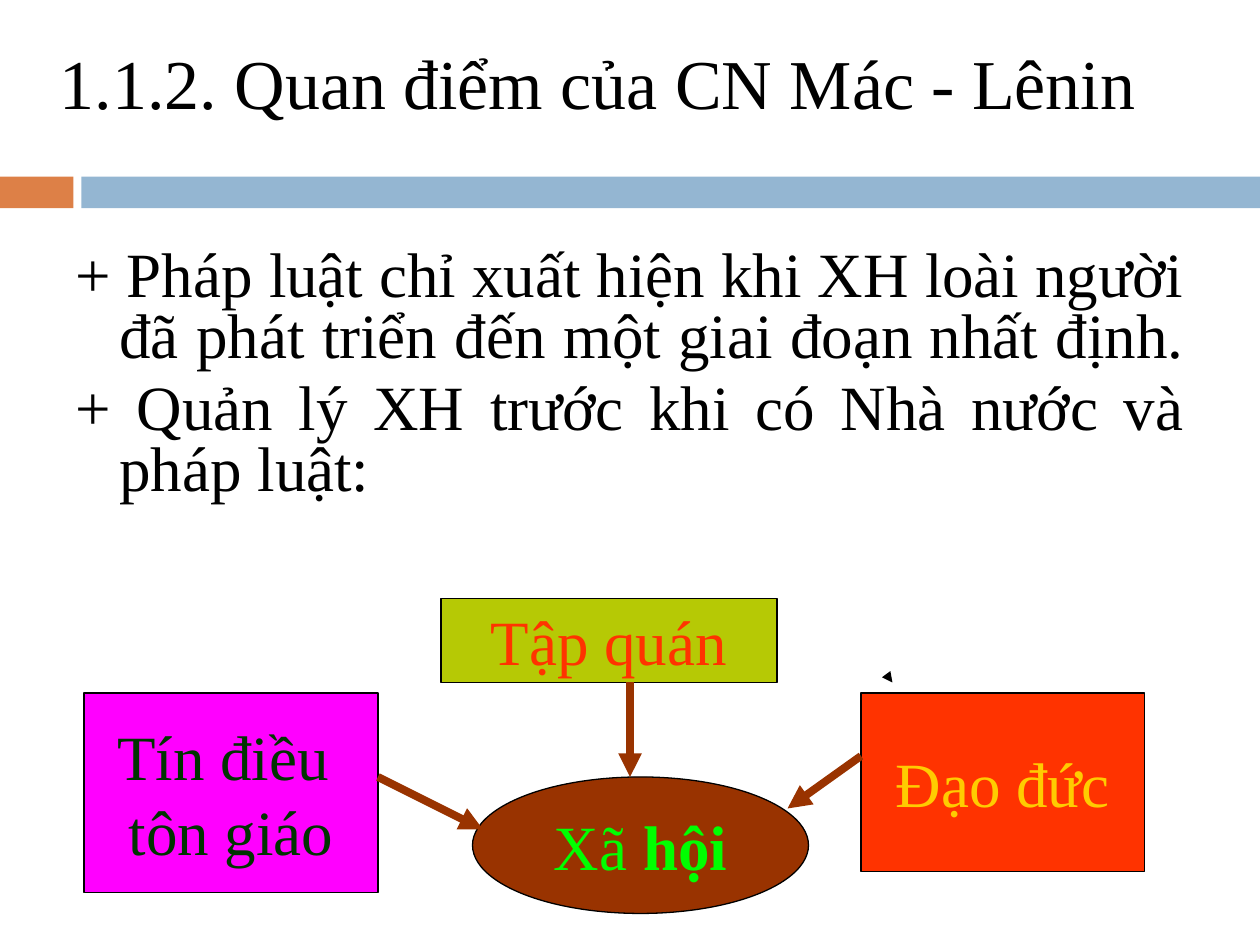
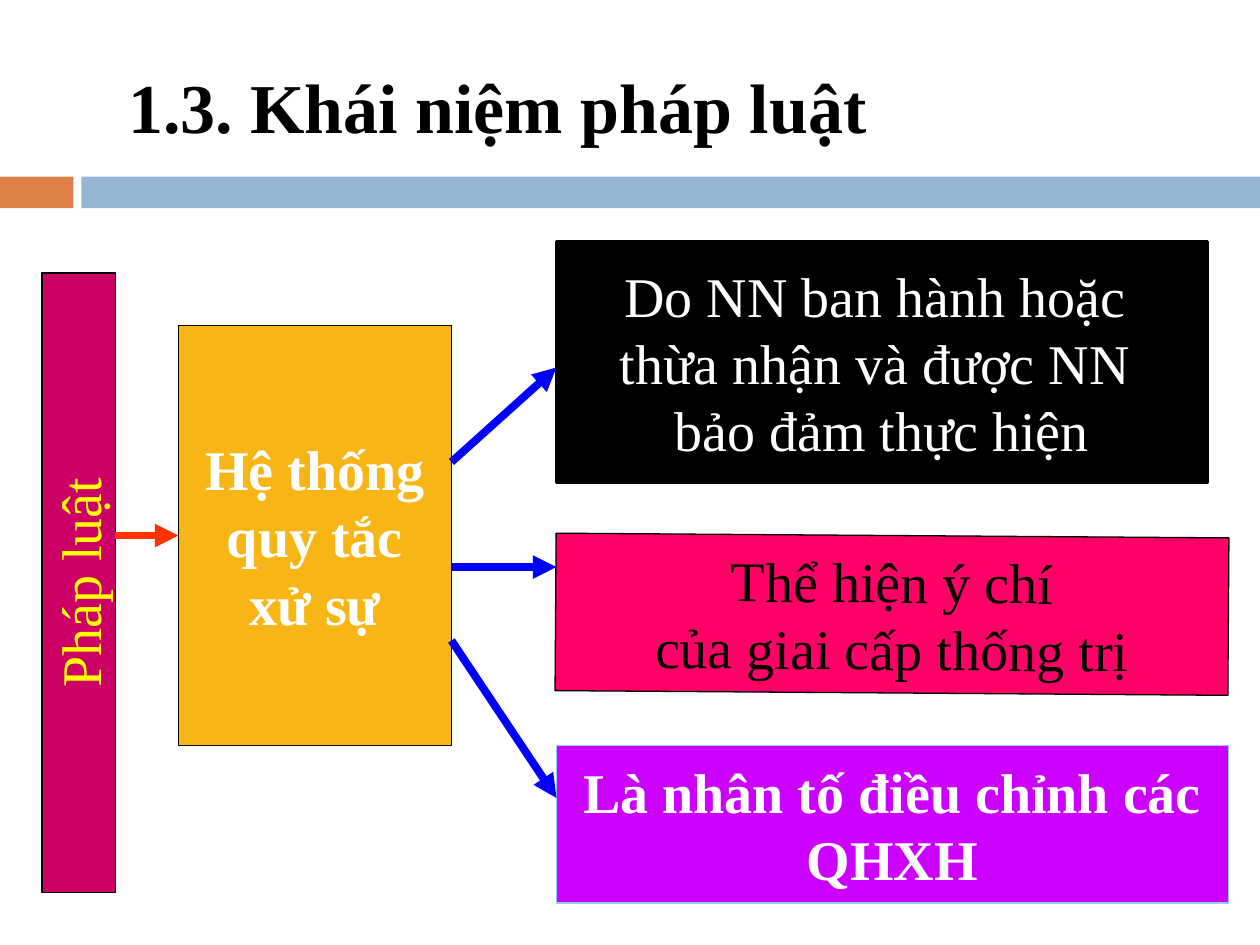
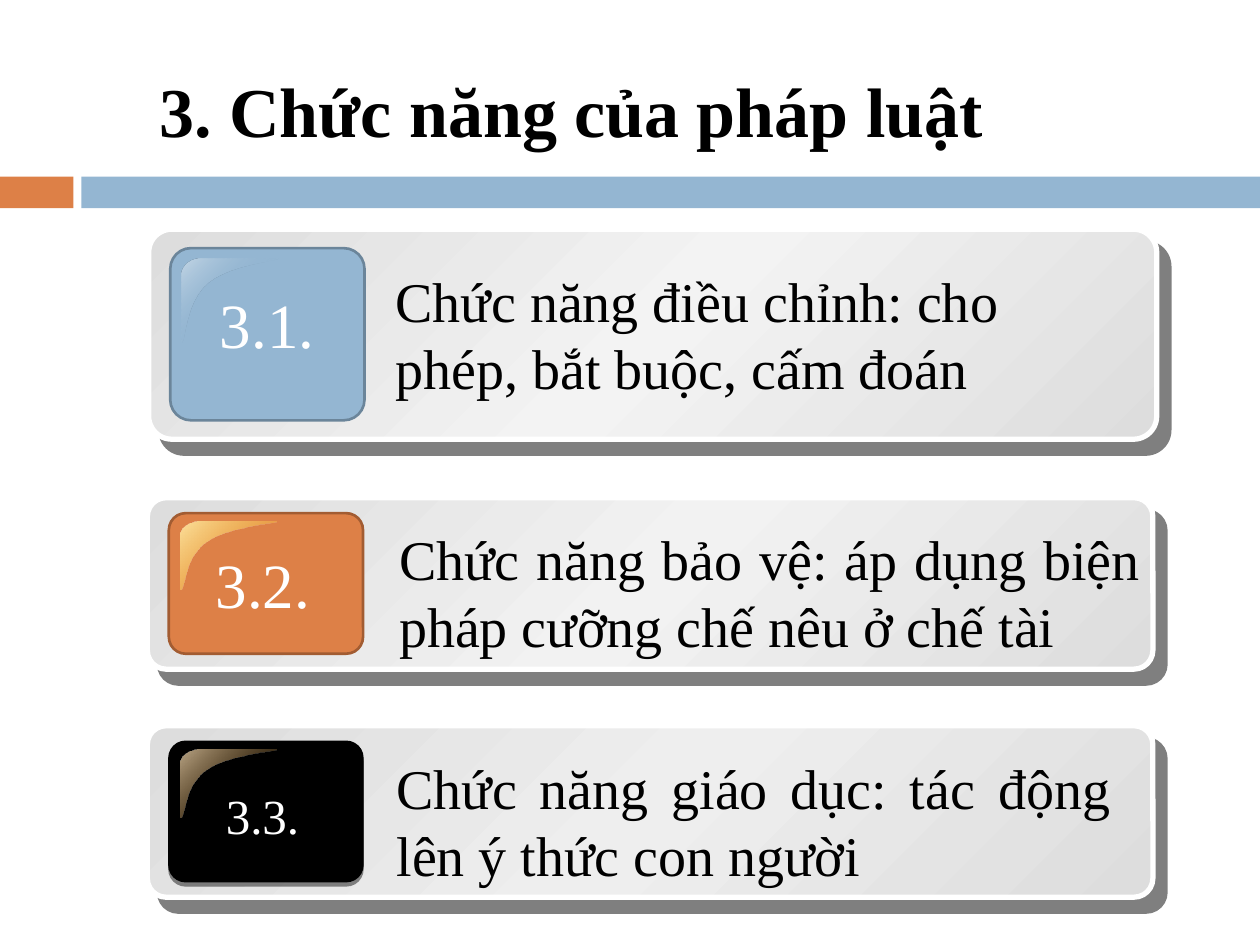
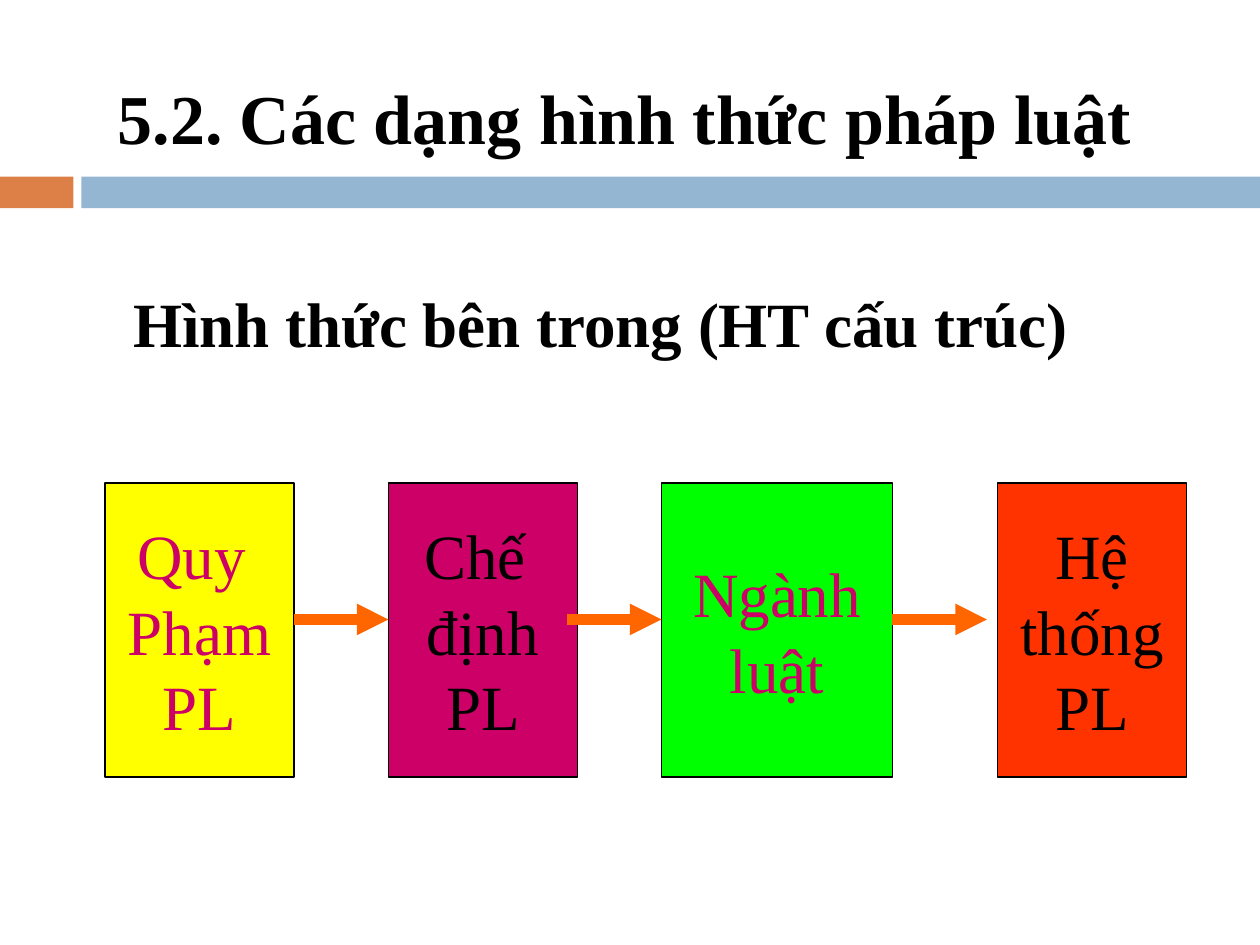
from dataclasses import dataclass

from lxml import etree
from pptx import Presentation
from pptx.dml.color import RGBColor
from pptx.enum.shapes import MSO_CONNECTOR as Connector, MSO_SHAPE as Shape
from pptx.enum.text import MSO_ANCHOR as Anchor, MSO_AUTO_SIZE as AutoSize, PP_ALIGN as Align
from pptx.oxml.ns import qn
from pptx.util import Pt


@dataclass(frozen=True)
class Theme:
    font: str = "Times New Roman"
    # Type sizes
    title: int = 40
    large: int = 36
    medium: int = 32
    small: int = 28
    # Colours
    black: str = "000000"
    white: str = "FFFFFF"
    orange: str = "DD8047"
    orange_edge: str = "A25C32"
    blue: str = "94B6D2"
    blue_edge: str = "6B859A"
    pale_blue: str = "C5D7E6"
    sky: str = "99CCFF"
    brown: str = "993300"
    olive: str = "B6C905"
    magenta: str = "FF00FF"
    red: str = "FF3300"
    amber: str = "FFCC00"
    gold: str = "F7B615"
    pale_gold: str = "FCE09C"
    tan: str = "B9A485"
    umber: str = "704404"
    dark_green: str = "003300"
    green: str = "00FF00"
    pink: str = "FF0066"
    crimson: str = "CC0066"
    violet: str = "CC00FF"
    yellow: str = "FFFF00"
    arrow_blue: str = "0000FF"
    arrow_orange: str = "FF6600"
    card_edge: str = "DDDDDD"


THEME = Theme()
TITLE_ONLY = 5

# Outline of the badge gloss in a unit square: each curve is four control points
GLOSS_CURVES = (
    ((0.2, 0), (0.09, 0), (0, 0.09), (0, 0.19)),
    ((0, 0.97), (0.05, 0.99), (0.03, 0.51), (0.28, 0.28)),
    ((0.28, 0.28), (0.53, 0.06), (1, 0.04), (1, 0)),
)


def curve_points(curve, steps=12):
    """Points along a cubic curve."""
    for step in range(steps + 1):
        t = step / steps
        weights = ((1 - t) ** 3, 3 * t * (1 - t) ** 2, 3 * t * t * (1 - t), t ** 3)
        yield tuple(sum(w * point[axis] for w, point in zip(weights, curve)) for axis in (0, 1))


def add_element(parent, tag, **attributes):
    return etree.SubElement(parent, qn(tag), {name: str(value) for name, value in attributes.items()})


def add_color(parent, color, alpha=100):
    element = add_element(parent, "a:srgbClr", val=color)
    if alpha < 100:
        add_element(element, "a:alpha", val=alpha * 1000)


def write(frame, paragraphs, size=THEME.large, color=THEME.black, bold=False, align=Align.LEFT,
          line_spacing=None, space_before=0, margin=0, indent=0):
    """Fill a text frame; a paragraph is a string or a list of (text, bold) runs."""
    for index, content in enumerate(paragraphs):
        paragraph = frame.paragraphs[0] if index == 0 else frame.add_paragraph()
        paragraph.alignment = align
        if line_spacing:
            paragraph.line_spacing = line_spacing
        if index and space_before:
            paragraph.space_before = Pt(space_before)
        if margin or indent:
            properties = paragraph._p.get_or_add_pPr()
            properties.set("marL", str(Pt(margin)))
            properties.set("indent", str(Pt(indent)))
        for text, run_bold in [(content, bold)] if isinstance(content, str) else content:
            run = paragraph.add_run()
            run.text = text
            run.font.name = THEME.font
            run.font.size = Pt(size)
            run.font.bold = run_bold
            run.font.color.rgb = RGBColor.from_string(color)


class Deck:
    """Holds the presentation, the theme and the slide or group being drawn on."""

    def __init__(self, theme):
        self.theme = theme
        self.presentation = Presentation()
        self.presentation.slide_width, self.presentation.slide_height = Pt(720), Pt(540)

    def new_slide(self, title, box, **text_format):
        layout = self.presentation.slide_layouts[TITLE_ONLY]
        self.slide = self.presentation.slides.add_slide(layout)
        self.canvas = self.slide.shapes
        # Shared two-colour band
        self.shape((0, 101, 42, 18), self.theme.orange)
        self.shape((46.5, 101, 673.5, 18), self.theme.blue)
        placeholder = self.slide.shapes.title
        placeholder.left, placeholder.top, placeholder.width, placeholder.height = map(Pt, box)
        frame = placeholder.text_frame
        frame.auto_size = AutoSize.NONE
        frame.vertical_anchor = Anchor.MIDDLE
        write(frame, [title], **{"size": self.theme.title, "bold": True, **text_format})

    def group(self):
        self.canvas = self.slide.shapes.add_group_shape().shapes

    def paint(self, shape, fill, line=None, width=0.75, shadow=None):
        """Fill is a colour or a list of gradient stops (position, colour, alpha)."""
        shape.shadow.inherit = False
        if isinstance(fill, str):
            shape.fill.solid()
            shape.fill.fore_color.rgb = RGBColor.from_string(fill)
        else:
            shape.fill.gradient()
            gradient = shape._element.spPr.find(qn("a:gradFill"))
            for child in list(gradient):
                gradient.remove(child)
            stops = add_element(gradient, "a:gsLst")
            for position, color, alpha in fill:
                add_color(add_element(stops, "a:gs", pos=position * 1000), color, alpha)
            add_element(gradient, "a:lin", ang=45 * 60000, scaled=0)
        if line:
            shape.line.color.rgb = RGBColor.from_string(line)
            shape.line.width = Pt(width)
        else:
            shape.line.fill.background()
        if shadow:
            alpha, distance, angle = shadow
            effects = shape._element.spPr.find(qn("a:effectLst"))
            outer = add_element(effects, "a:outerShdw", blurRad=0, dist=Pt(distance),
                                dir=angle * 60000, algn="ctr", rotWithShape=0)
            add_color(outer, self.theme.black, alpha)

    def shape(self, box, fill, kind=Shape.RECTANGLE, corner=None, **paint_format):
        shape = self.canvas.add_shape(kind, *map(Pt, box))
        if corner:
            shape.adjustments[0] = corner
        self.paint(shape, fill, **paint_format)
        return shape

    def label_box(self, box, paragraphs, fill, color, kind=Shape.RECTANGLE, line=THEME.black,
                  width=0.75, **text_format):
        """Outlined shape with centred text."""
        shape = self.shape(box, fill, kind, line=line, width=width)
        shape.text_frame.word_wrap = False
        shape.text_frame.vertical_anchor = Anchor.MIDDLE
        write(shape.text_frame, paragraphs, color=color, align=Align.CENTER, **text_format)
        return shape

    def text(self, box, paragraphs, wrap=True, top_inset=3.6, grow=False, **text_format):
        frame = self.canvas.add_textbox(*map(Pt, box)).text_frame
        frame.word_wrap = wrap
        frame.auto_size = AutoSize.SHAPE_TO_FIT_TEXT if grow else AutoSize.NONE
        frame.margin_top = Pt(top_inset)
        write(frame, paragraphs, **text_format)

    def arrow(self, start, end, color, width=4.5):
        connector = self.canvas.add_connector(Connector.STRAIGHT, *map(Pt, (*start, *end)))
        connector.line.color.rgb = RGBColor.from_string(color)
        connector.line.width = Pt(width)
        add_element(connector.line._get_or_add_ln(), "a:tailEnd", type="triangle")
        add_element(connector._element.spPr, "a:effectLst")

    def gloss(self, box, stops):
        left, top, width, height = box
        points = [(Pt(left + x * width), Pt(top + y * height))
                  for curve in GLOSS_CURVES for x, y in curve_points(curve)]
        builder = self.canvas.build_freeform(*points[0])
        builder.add_line_segments(points[1:], close=True)
        self.paint(builder.convert_to_shape(), stops)

    def card(self, box, middle, badge, gloss, label, label_box, label_size, text, text_box, align):
        """Grey card with a numbered badge and its text, as one group."""
        left, top, width, height = box
        edge = self.theme.card_edge
        self.group()
        self.shape(box, [(0, edge, 100), (50, middle, 100), (100, edge, 100)],
                   Shape.ROUNDED_RECTANGLE, 0.11, line=self.theme.white, width=3,
                   shadow=(50, 10.6, 49))
        self.shape((left + 12.3, top + 0.09 * height, 111, 0.82 * height),
                   kind=Shape.ROUNDED_RECTANGLE, corner=0.12, **badge)
        self.gloss((left + 19, top + 0.14 * height, 55, 0.41 * height), gloss)
        self.text(label_box, [label], wrap=False, grow=True, size=label_size,
                  color=self.theme.white, align=Align.CENTER)
        self.text(text_box, [text], grow=True, size=self.theme.medium, align=align)


def society_slide(deck):
    theme = deck.theme
    deck.new_slide("1.1.2. Quan điểm của CN Mác - Lênin", (18, 21.6, 684, 62),
                   bold=False, line_spacing=0.7, margin=9)
    deck.text((36, 120, 648, 390),
              ["+ Pháp luật chỉ xuất hiện khi XH loài người đã phát triển đến một giai đoạn nhất định. ",
               "+ Quản lý XH trước khi có Nhà nước và pháp luật:"],
              top_inset=22.5, align=Align.JUSTIFY, line_spacing=0.8, space_before=7,
              margin=25.2, indent=-25.2)
    # Society and the forces that governed it
    deck.label_box((270, 444, 192, 78), [[("Xã ", False), ("hội", True)]],
                   theme.brown, theme.green, Shape.OVAL)
    deck.label_box((252, 342, 192, 48), ["Tập quán"], theme.olive, theme.red)
    deck.label_box((48, 396, 168, 114), ["Tín điều ", "tôn giáo"], theme.magenta, theme.dark_green)
    deck.label_box((492, 396, 162, 102), ["Đạo đức"], theme.red, theme.amber)
    for start, end in (((360, 390), (360, 444)), ((216, 444), (276, 474)), ((492, 432), (450, 462))):
        deck.arrow(start, end, theme.brown)
    # Very short arrow, of which only the head shows
    deck.arrow((509.9, 389.9), (510, 390), theme.black, width=0.75)


def concept_slide(deck):
    theme = deck.theme
    size = theme.medium
    deck.new_slide("1.3. Khái niệm pháp luật", (66, 24, 613.5, 73))
    # Rule system and its three features
    deck.label_box((102, 186, 156, 240), ["Hệ thống", "quy tắc", "xử sự"],
                   theme.gold, theme.white, size=size, bold=True)
    deck.label_box((318, 138, 372, 138),
                   ["Do NN ban hành hoặc ", "thừa nhận và được NN ", "bảo đảm thực hiện"],
                   theme.black, theme.white, width=1.5, size=size)
    will = deck.label_box((317.5, 306, 384.5, 90), ["Thể hiện ý chí", "của giai cấp thống trị"],
                          theme.pink, theme.black, size=size)
    will.rotation = 0.4
    deck.label_box((318, 426, 384, 90), ["Là nhân tố điều chỉnh các", "QHXH"],
                   theme.violet, theme.white, line=theme.sky, size=size, bold=True)
    # Upright bar
    bar = deck.label_box((24, 156, 42, 354), ["Pháp luật"], theme.crimson, theme.yellow, size=size)
    bar.text_frame._txBody.bodyPr.set("vert", "vert270")
    deck.arrow((66, 306), (102, 306), theme.red)
    for start_y, end_y in ((264, 210), (324, 324), (366, 456)):
        deck.arrow((258, start_y), (318, end_y), theme.arrow_blue)


def functions_slide(deck):
    theme = deck.theme
    deck.new_slide("3. Chức năng của pháp luật", (84, 24, 599, 77), align=Align.JUSTIFY)
    deck.card((85, 131, 576, 120), "F3F3F3",
              {"fill": theme.blue, "line": theme.blue_edge, "width": 1.5},
              [(0, theme.pale_blue, 100), (50, theme.blue, 0), (100, theme.pale_blue, 100)],
              "3.1.", (118, 159.5, 69.4, 50.4), theme.large,
              "Chức năng điều chỉnh: cho phép, bắt buộc, cấm đoán",
              (219, 148.5, 423.5, 84), Align.LEFT)
    deck.card((84.2, 284.4, 574.6, 98), "F2F2F2",
              {"fill": theme.orange, "line": theme.orange_edge, "width": 1.5},
              [(0, theme.pale_gold, 100), (100, theme.gold, 0)],
              "3.2.", (115.5, 308, 69.4, 50.4), theme.large,
              "Chức năng bảo vệ: áp dụng biện pháp cưỡng chế nêu ở chế tài",
              (221, 296, 438, 84), Align.JUSTIFY)
    deck.card((84.2, 414.7, 574.6, 98), "EEEEEE",
              {"fill": theme.black, "line": theme.black, "shadow": (45, 2.4, 90)},
              [(0, theme.tan, 100), (100, theme.umber, 0)],
              "3.3.", (120, 445.5, 60, 41), theme.small,
              "Chức năng giáo dục: tác động lên ý thức con người",
              (219.6, 427, 422.6, 84), Align.JUSTIFY)


def structure_slide(deck):
    theme = deck.theme
    deck.new_slide("5.2. Các dạng hình thức pháp luật", (60, 21.6, 624, 90))
    deck.text((60, 159, 645, 324), ["Hình thức bên trong (HT cấu trúc)"],
              bold=True, margin=25.2, indent=-16.2)
    # Chain from single rule to whole system
    for left, width, lines, fill, color in (
        (60, 108, ["Quy ", "Phạm", "PL"], theme.yellow, theme.crimson),
        (222, 108, ["Chế ", "định", "PL"], theme.crimson, theme.black),
        (378, 132, ["Ngành", "luật"], theme.green, theme.crimson),
        (570, 108, ["Hệ", "thống", "PL"], theme.red, theme.black),
    ):
        deck.label_box((left, 276, width, 168), lines, fill, color)
    for left in (168, 324, 510):
        deck.arrow((left, 354), (left + 54, 354), theme.arrow_orange, width=6)


def main():
    deck = Deck(THEME)
    for build in (society_slide, concept_slide, functions_slide, structure_slide):
        build(deck)
    deck.presentation.save("out.pptx")


if __name__ == "__main__":
    main()
